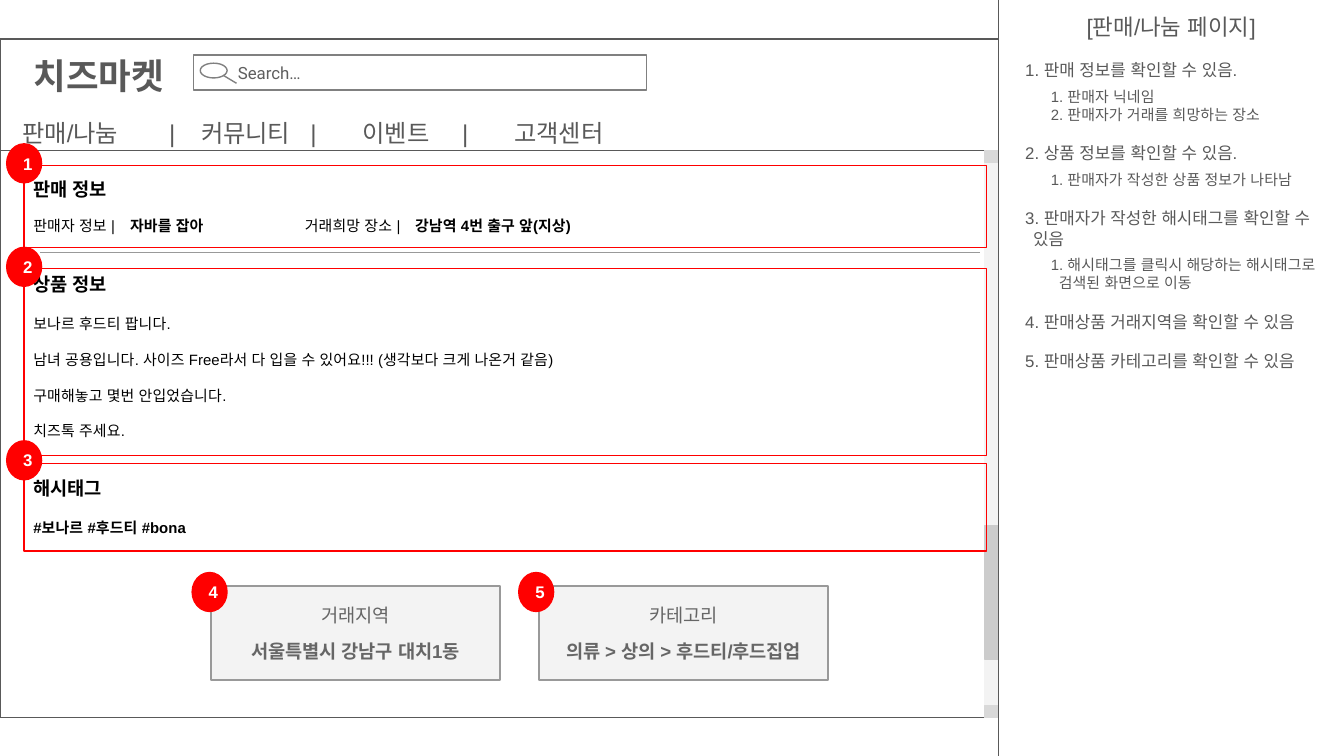
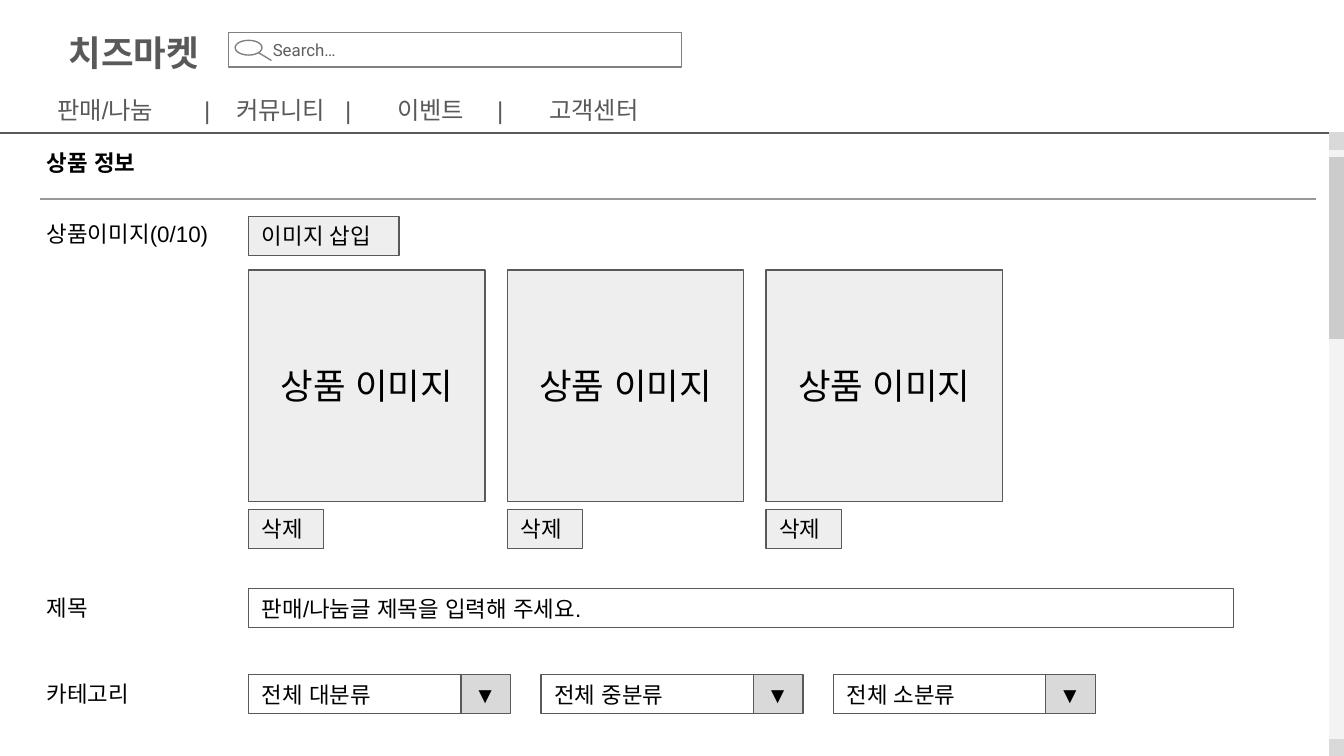
from lxml import etree
from pptx import Presentation
from pptx.dml.color import RGBColor
from pptx.enum.shapes import MSO_CONNECTOR, MSO_SHAPE
from pptx.enum.text import MSO_ANCHOR, MSO_AUTO_SIZE, PP_ALIGN
from pptx.oxml.ns import qn
from pptx.util import Inches, Pt

RECTANGLE, OVAL = MSO_SHAPE.RECTANGLE, MSO_SHAPE.OVAL
TOP, MIDDLE = MSO_ANCHOR.TOP, MSO_ANCHOR.MIDDLE
LEFT, CENTER = PP_ALIGN.LEFT, PP_ALIGN.CENTER

WIDTH, HEIGHT = 10, 5.625
BLACK, WHITE, RED = "000000", "FFFFFF", "FF0000"
DARK, SEARCH_TEXT, CARD_TEXT = "595959", "5F5F5F", "666666"
SEARCH_LINE, RULE = "808080", "999999"
THUMB, KEY, BUTTON, PALE = "CCCCCC", "D9D9D9", "EEEEEE", "F3F3F3"

# Shared header
SITE_NAME = "치즈마켓"
MENU = "\t".join(["판매/나눔", "|", "커뮤니티", "|", "이벤트", "|", "고객센터"])
MENU_TABS = [1.09, 1.33, 2.14, 2.53, 3.27, 3.66]

# Sales page
PANEL_LEFT = 7.43
PANEL_TITLE = "[판매/나눔 페이지]"
PANEL_NOTES = [
    ("판매 정보를 확인할 수 있음.", ["판매자 닉네임", "판매자가 거래를 희망하는 장소"]),
    ("상품 정보를 확인할 수 있음.", ["판매자가 작성한 상품 정보가 나타남"]),
    ("판매자가 작성한 해시태그를 확인할 수 있음",
     ["해시태그를 클릭시 해당하는 해시태그로 검색된 화면으로 이동"]),
    ("판매상품 거래지역을 확인할 수 있음", []),
    ("판매상품 카테고리를 확인할 수 있음", []),
]
SECTIONS = [  # heading, heading top, frame top, frame height
    ("판매 정보", 1.22, 1.23, 0.61),
    ("상품 정보", 1.93, 2.00, 1.39),
    ("해시태그", 3.45, 3.45, 0.65),
]
SELLER_FACTS = [  # left, width, label, value, tab stop
    (0.15, 1.94, "판매자 정보 |", "자바를 잡아", 0.72),
    (2.17, 3.82, "거래희망 장소 |", "강남역 4번 출구 앞(지상)", 0.82),
]
DESCRIPTION = [
    "보나르 후드티 팝니다.",
    "남녀 공용입니다. 사이즈 Free라서 다 입을 수 있어요!!! (생각보다 크게 나온거 같음)",
    "구매해놓고 몇번 안입었습니다.",
    "치즈톡 주세요.",
]
HASHTAGS = "#보나르 #후드티 #bona"
CARDS = [
    ("거래지역", "서울특별시 강남구 대치1동"),
    ("카테고리", "의류 > 상의 > 후드티/후드집업"),
]
BADGES = [(0.05, 1.07), (0.05, 1.84), (0.05, 3.28), (1.43, 4.26), (3.86, 4.26)]

# Writing form
FORM_LABELS = [("상품이미지(0/10)", 1.54), ("제목", 4.32), ("카테고리", 4.96)]
FIELD_LEFT, FIELD_HEIGHT = 1.85, 0.29
IMAGE_COUNT, IMAGE_STEP = 3, 1.925
SELECTS = ["전체 대분류", "전체 중분류", "전체 소분류"]
SELECT_STEP, SELECT_WIDTH, ARROW_WIDTH = 2.175, 1.94, 0.37


def color(value):
    return RGBColor.from_string(value)


def add_text(paragraph, text, size=12, ink=BLACK, bold=False, font="Arial"):
    run = paragraph.add_run()
    run.text = text
    run.font.size = Pt(size)
    run.font.bold = bold
    run.font.color.rgb = color(ink)
    run.font.name = font
    east_asian = etree.SubElement(run.font._element, qn("a:ea"))
    east_asian.set("typeface", font)


def set_tabs(paragraph, stops):
    tab_list = etree.SubElement(paragraph._p.get_or_add_pPr(), qn("a:tabLst"))
    for stop in stops:
        tab = etree.SubElement(tab_list, qn("a:tab"))
        tab.set("pos", str(Inches(stop)))
        tab.set("algn", "l")


def set_number(paragraph, level, margin):
    paragraph.level = level
    properties = paragraph._p.get_or_add_pPr()
    properties.set("marL", str(Inches(margin)))
    properties.set("indent", str(Inches(-0.06)))
    etree.SubElement(properties, qn("a:buAutoNum")).set("type", "arabicPeriod")


def write(shape, lines, align=LEFT, anchor=TOP, gap=0, tabs=(),
          insets=(0.1, 0.1, 0.1, 0.1), **style):
    """Fill a shape with lines; a line is a string or a list of (text, bold) runs."""
    frame = shape.text_frame
    frame.word_wrap = True
    frame.auto_size = MSO_AUTO_SIZE.NONE
    frame.vertical_anchor = anchor
    (frame.margin_left, frame.margin_top,
     frame.margin_right, frame.margin_bottom) = map(Inches, insets)
    for index, line in enumerate(lines):
        paragraph = frame.add_paragraph() if index else frame.paragraphs[0]
        paragraph.alignment = align
        if index:
            paragraph.space_before = Pt(gap)
        if tabs:
            set_tabs(paragraph, tabs)
        if isinstance(line, str):
            add_text(paragraph, line, **style)
        else:
            for text, bold in line:
                add_text(paragraph, text, **{**style, "bold": bold})
    return frame


def add_label(slide, box, *lines, **style):
    return write(slide.shapes.add_textbox(*map(Inches, box)), lines, **style)


def add_box(slide, box, *lines, fill=None, line=DARK, kind=RECTANGLE, **style):
    shape = slide.shapes.add_shape(kind, *map(Inches, box))
    shape.shadow.inherit = False
    if fill:
        shape.fill.solid()
        shape.fill.fore_color.rgb = color(fill)
    else:
        shape.fill.background()
    shape.line.color.rgb = color(line)
    shape.line.width = Pt(0.75)
    if lines:
        write(shape, lines, anchor=MIDDLE, **style)


def add_line(slide, start, end, ink=DARK):
    line = slide.shapes.add_connector(
        MSO_CONNECTOR.STRAIGHT, *map(Inches, (*start, *end)))
    line.line.color.rgb = color(ink)
    line.line.width = Pt(0.75)
    etree.SubElement(line._element.spPr, qn("a:effectLst"))


def add_header(slide, left, top):
    title = slide.shapes.title
    title.left, title.top = Inches(left), Inches(top)
    title.width, title.height = Inches(1.47), Inches(0.52)
    write(title, [SITE_NAME], align=CENTER, size=19, ink=DARK, bold=True)
    add_label(slide, (left + 0.07, top + 0.48, 5.11, 0.3), MENU,
              tabs=MENU_TABS, size=13, ink=DARK)
    add_box(slide, (left + 1.44, top + 0.11, 3.37, 0.26), "Search…",
            fill=WHITE, line=SEARCH_LINE, insets=(0.33, 0.06, 0.1, 0.06),
            size=9, ink=SEARCH_TEXT, font="Roboto")
    add_box(slide, (left + 1.49, top + 0.17, 0.2, 0.11),
            fill=WHITE, line=SEARCH_LINE, kind=OVAL)
    add_line(slide, (left + 1.66, top + 0.26), (left + 1.76, top + 0.32), SEARCH_LINE)


def add_scrollbar(slide, left, top, bottom, width, key, thumb_top, thumb_height):
    parts = [
        (top, bottom - top, PALE),
        (top, key, KEY),
        (bottom - key, key, KEY),
        (thumb_top, thumb_height, THUMB),
    ]
    for part_top, height, fill in parts:
        add_box(slide, (left, part_top, width, height), fill=fill, line=fill)


def add_panel(slide):
    frame = add_label(slide, (PANEL_LEFT, 0, WIDTH - PANEL_LEFT, HEIGHT),
                      PANEL_TITLE, align=CENTER, ink=DARK)

    def add_note(text, level, margin, size, gap):
        paragraph = frame.add_paragraph()
        paragraph.space_before = Pt(gap)
        set_number(paragraph, level, margin)
        add_text(paragraph, " " + text, size=size, ink=DARK)

    for note, details in PANEL_NOTES:
        add_note(note, 0, 0.16, 9, 10.5)
        for index, detail in enumerate(details):
            add_note(detail, 1, 0.35, 8, 0 if index else 4)


def build_sales_page(slide):
    add_panel(slide)
    add_box(slide, (0, 0.29, PANEL_LEFT, 5.05))
    add_line(slide, (0, 1.12), (7.41, 1.12))
    add_scrollbar(slide, 7.33, 1.12, 5.34, 0.1, 0.09, 3.91, 1)
    add_line(slide, (PANEL_LEFT, 0), (PANEL_LEFT, HEIGHT))
    add_header(slide, 0, 0.3)
    add_line(slide, (0.3, 1.88), (7.29, 1.88), RULE)
    for heading, heading_top, frame_top, frame_height in SECTIONS:
        add_label(slide, (0.15, heading_top, 1.36, 0.37), heading, size=10, bold=True)
        add_box(slide, (0.18, frame_top, 7.16, frame_height), line=RED)
    for left, width, label, value, tab in SELLER_FACTS:
        add_label(slide, (left, 1.51, width, 0.34),
                  [(label + "\t", False), (value, True)], tabs=[tab], size=8)
    add_label(slide, (0.15, 2.24, 5.91, 1.14), *DESCRIPTION, gap=9.6, size=8)
    add_label(slide, (0.15, 3.76, 5.91, 0.34), HASHTAGS, size=8, bold=True)
    for index, (label, value) in enumerate(CARDS):
        add_box(slide, (1.57 + index * 2.44, 4.36, 2.15, 0.7),
                label, [(value, True)], fill=PALE, line=RULE,
                align=CENTER, gap=7, size=10, ink=CARD_TEXT)
    for number, (left, top) in enumerate(BADGES, 1):
        add_box(slide, (left, top, 0.26, 0.29), str(number), fill=RED, line=RED,
                kind=OVAL, align=CENTER, size=9, ink=WHITE, bold=True)


def build_writing_form(slide):
    add_line(slide, (0, 0.99), (WIDTH, 0.99))
    add_scrollbar(slide, 9.89, 0.99, HEIGHT, 0.11, 0.12, 1.17, 1.35)
    add_header(slide, 0.26, 0.13)
    add_label(slide, (0.25, 1.01, 1.36, 0.4), "상품 정보", bold=True)
    add_line(slide, (0.3, 1.48), (9.79, 1.48), RULE)
    for label, top in FORM_LABELS:
        add_label(slide, (0.25, top, 1.94, 0.4), label)
    add_box(slide, (FIELD_LEFT, 1.61, 1.12, FIELD_HEIGHT), "이미지 삽입", fill=BUTTON)
    for index in range(IMAGE_COUNT):
        left = FIELD_LEFT + index * IMAGE_STEP
        add_box(slide, (left, 2.01, 1.76, 1.72), "상품 이미지",
                fill=BUTTON, align=CENTER, size=19)
        add_box(slide, (left, 3.79, 0.56, FIELD_HEIGHT), "삭제", fill=BUTTON)
    add_box(slide, (FIELD_LEFT, 4.38, 7.33, FIELD_HEIGHT),
            "판매/나눔글 제목을 입력해 주세요.", fill=WHITE)
    for index, choice in enumerate(SELECTS):
        left = FIELD_LEFT + index * SELECT_STEP
        add_box(slide, (left, 5.02, SELECT_WIDTH, FIELD_HEIGHT), choice, fill=WHITE)
        add_box(slide, (left + SELECT_WIDTH - ARROW_WIDTH + 0.01, 5.02,
                        ARROW_WIDTH, FIELD_HEIGHT), "▼", fill=KEY)


def main():
    presentation = Presentation()
    presentation.slide_width = Inches(WIDTH)
    presentation.slide_height = Inches(HEIGHT)
    title_only = presentation.slide_layouts[5]
    for build in (build_sales_page, build_writing_form):
        build(presentation.slides.add_slide(title_only))
    presentation.save("out.pptx")


if __name__ == "__main__":
    main()
